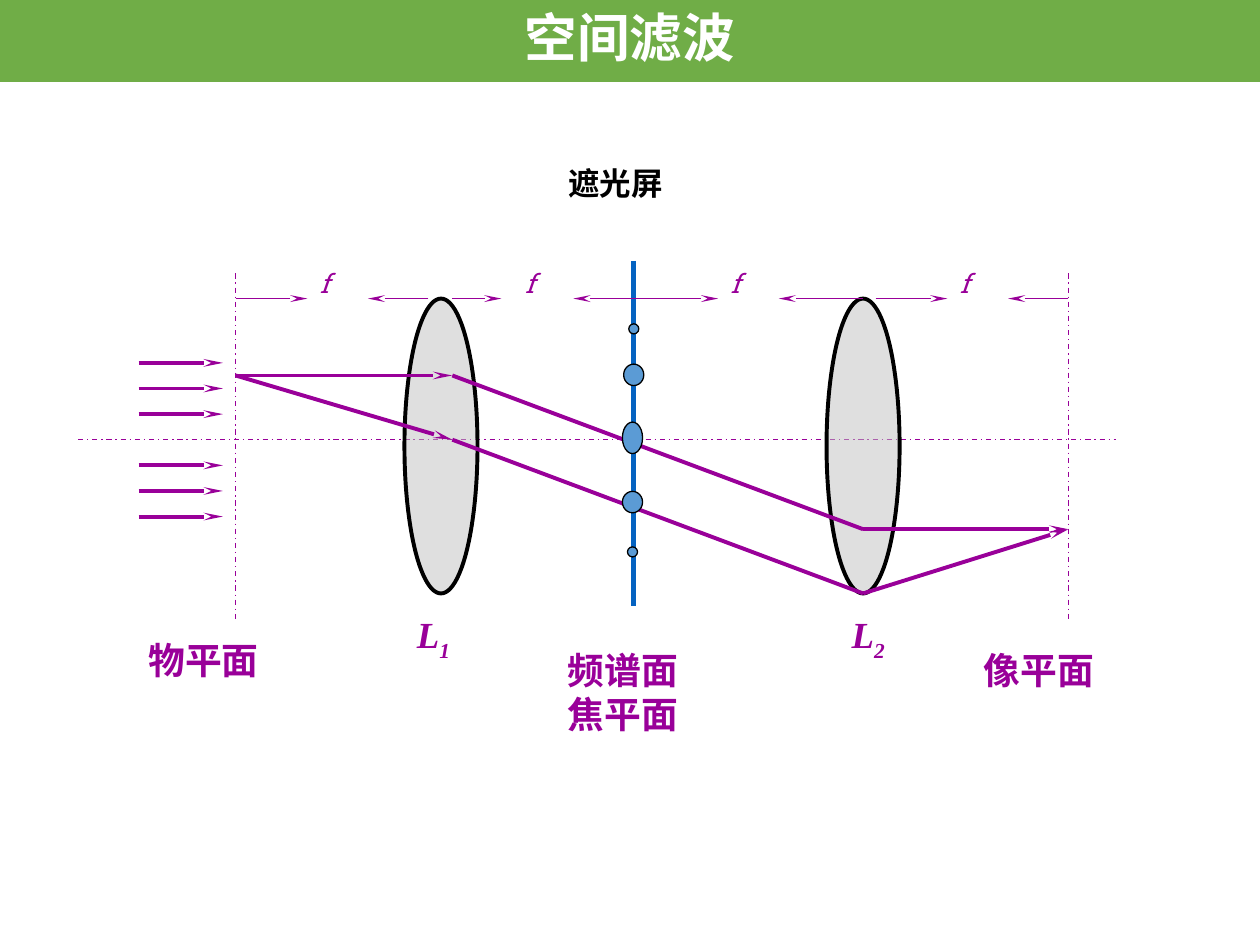
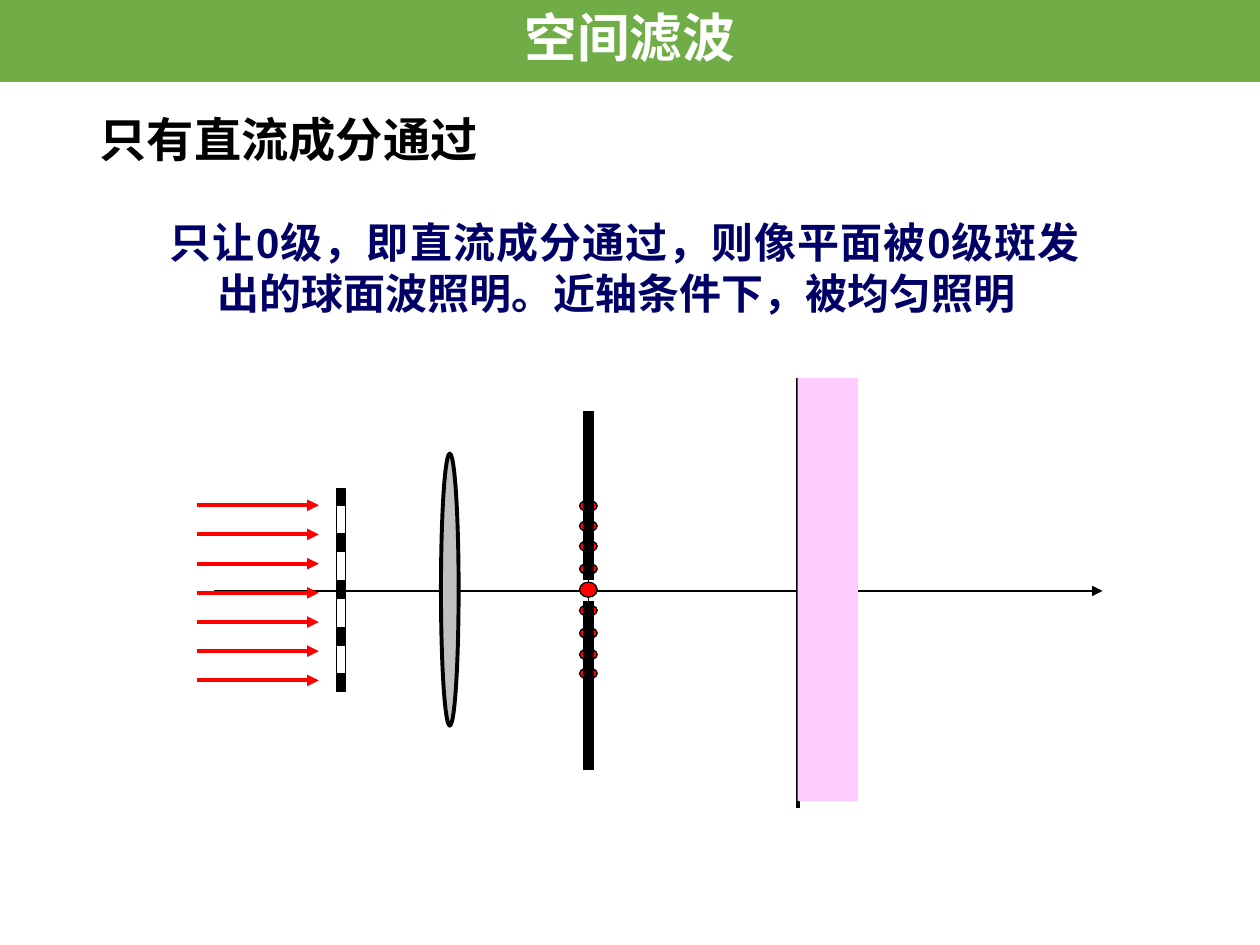
from dataclasses import dataclass

from lxml import etree
from pptx import Presentation
from pptx import util as u
from pptx.dml.color import RGBColor
from pptx.enum import dml, shapes, text
from pptx.oxml import ns


@dataclass(frozen=True)
class Theme:
    green: str = "70AD47"
    plum: str = "990099"
    navy: str = "000066"
    blue: str = "0563C1"
    sky: str = "5B9BD5"
    red: str = "FF0000"
    pink: str = "FFCCFF"
    gray: str = "C0C0C0"
    black: str = "000000"
    white: str = "FFFFFF"
    head: str = "Calibri"
    label: str = "Roboto Slab"
    math: str = "Times New Roman"
    body: str = "Arial"
    sans: str = "DejaVu Sans"
    banner: int = 30
    title: int = 27
    prose: int = 24
    name: int = 21
    note: int = 18
    mark: int = 15
    thin: float = 0.75
    bold: float = 2.25
    thick: float = 3
    wide: float = 6


def tint(name):
    return RGBColor.from_string(name)


def steps(first, last, count):
    return [first + (last - first) * i / (count - 1) for i in range(count)]


class Deck:
    def __init__(self, theme):
        self.theme = theme
        self.file = Presentation()
        self.file.slide_width = u.Inches(10)
        self.file.slide_height = u.Inches(7.5)
        self.slide = None

    def page(self, layout):
        self.slide = self.file.slides.add_slide(self.file.slide_layouts[layout])

    def run(self, para, words, font, size, color, bold=True, italic=False, base=None):
        run = para.add_run()
        run.text = words
        run.font.name = font
        run.font.size = u.Pt(size)
        run.font.bold = bold
        run.font.italic = italic
        run.font.color.rgb = tint(color)
        if base:
            run.font._element.set("baseline", str(base))

    def line(self, start, end, color, width, dash=None, head=None, slim=False):
        item = self.slide.shapes.add_connector(
            shapes.MSO_CONNECTOR.STRAIGHT, *map(u.Inches, start + end))
        item.line.color.rgb = tint(color)
        item.line.width = u.Pt(width)
        if dash:
            item.line.dash_style = dash
        props = item.element.spPr
        if head:
            tail = etree.SubElement(props.find(ns.qn("a:ln")), ns.qn("a:tailEnd"))
            tail.set("type", head)
            if slim:
                tail.set("w", "sm")
                tail.set("len", "lg")
        etree.SubElement(props, ns.qn("a:effectLst"))

    def shape(self, kind, box, fill, width=None, alpha=None):
        item = self.slide.shapes.add_shape(kind, *map(u.Inches, box))
        item.shadow.inherit = False
        item.fill.solid()
        item.fill.fore_color.rgb = tint(fill)
        if alpha:
            color = item.element.spPr.find(".//" + ns.qn("a:srgbClr"))
            etree.SubElement(color, ns.qn("a:alpha")).set("val", str(alpha * 1000))
        if width:
            item.line.color.rgb = tint(self.theme.black)
            item.line.width = u.Pt(width)
        else:
            item.line.fill.background()
        return item

    def rect(self, box, fill, width=None):
        return self.shape(shapes.MSO_SHAPE.RECTANGLE, box, fill, width)

    def oval(self, box, fill, width, alpha=None):
        return self.shape(shapes.MSO_SHAPE.OVAL, box, fill, width, alpha)

    def frame(self, box, wrap=False):
        frame = self.slide.shapes.add_textbox(*map(u.Inches, box)).text_frame
        frame.word_wrap = wrap
        frame.auto_size = text.MSO_AUTO_SIZE.SHAPE_TO_FIT_TEXT
        return frame

    def label(self, box, rows, font, size, color, bold=True, italic=False):
        frame = self.frame(box)
        for i, words in enumerate(rows):
            para = frame.add_paragraph() if i else frame.paragraphs[0]
            self.run(para, words, font, size, color, bold, italic)

    def lens(self, x, index):
        t = self.theme
        para = self.frame((x, 4.81, 0.62, 0.6)).paragraphs[0]
        self.run(para, "L", t.math, t.name, t.plum, italic=True)
        self.run(para, index, t.math, t.name, t.plum, italic=True, base=-25000)

    def prose(self, box, parts):
        t = self.theme
        para = self.frame(box, wrap=True).paragraphs[0]
        para.alignment = text.PP_ALIGN.JUSTIFY
        props = para._p.get_or_add_pPr()
        props.set("marL", str(u.Inches(0.38)))
        props.set("indent", str(u.Inches(-0.38)))
        for words, font in parts:
            self.run(para, words, font, t.prose, t.navy)

    def title(self, words):
        t = self.theme
        item = self.slide.shapes.title
        item.left, item.top, item.width, item.height = map(
            u.Inches, (0.69, 0.4, 8.62, 1.45))
        frame = item.text_frame
        frame.auto_size = text.MSO_AUTO_SIZE.NONE
        frame.vertical_anchor = text.MSO_ANCHOR.MIDDLE
        para = frame.paragraphs[0]
        para.alignment = text.PP_ALIGN.LEFT
        para.line_spacing = 0.9
        self.run(para, words, t.head, t.title, t.black)

    def banner(self, words):
        t = self.theme
        frame = self.rect((0, 0, 10, 0.65), t.green).text_frame
        frame.margin_left = frame.margin_right = u.Inches(0.07)
        frame.margin_top = frame.margin_bottom = u.Inches(0.04)
        frame.vertical_anchor = text.MSO_ANCHOR.MIDDLE
        para = frame.paragraphs[0]
        para.alignment = text.PP_ALIGN.CENTER
        para.line_spacing = 0.9
        self.run(para, words, t.head, t.banner, t.white)


def filter_page(deck):
    t = deck.theme
    deck.page(6)
    axis = dml.MSO_LINE.DASH_DOT
    deck.line((1.87, 2.17), (1.87, 4.92), t.plum, t.thin, axis)
    deck.line((0.62, 3.49), (8.86, 3.49), t.plum, t.thin, axis)
    deck.line((5.03, 2.07), (5.03, 4.81), t.blue, t.thick)
    deck.line((8.48, 2.17), (8.48, 4.92), t.plum, t.thin, axis)
    for x in (3.21, 6.56):
        deck.oval((x, 2.37, 0.58, 2.34), t.gray, t.bold, alpha=50)

    beams = [
        ((1.87, 2.98), (3.59, 2.98), "stealth"),
        ((3.59, 2.98), (6.85, 4.2), None),
        ((1.87, 2.98), (3.59, 3.49), "stealth"),
        ((3.59, 3.49), (6.85, 4.71), None),
        ((6.85, 4.2), (8.48, 4.2), "stealth"),
        ((6.85, 4.71), (8.48, 4.2), "stealth"),
    ]
    for start, end, head in beams:
        deck.line(start, end, t.plum, t.bold, head=head, slim=True)

    planes = [
        ((1.08, 5.01, 1.66, 0.6), ["物平面"]),
        ((4.41, 5.09, 1.66, 1.07), ["频谱面", "焦平面"]),
        ((7.71, 5.09, 1.66, 0.6), ["像平面"]),
    ]
    for box, rows in planes:
        deck.label(box, rows, t.label, t.name, t.plum)
    deck.lens(3.21, "1")
    deck.lens(6.66, "2")

    for i, y in enumerate(steps(2.88, 4.1, 7)):
        if i != 3:
            deck.line((1.1, y), (1.77, y), t.plum, t.bold, head="stealth", slim=True)

    spans = [
        (1.87, 2.44, 2.92, 3.4),
        (3.59, 3.98, 4.55, 5.13),
        (5.13, 5.7, 6.18, 6.85),
        (6.95, 7.52, 8, 8.48),
    ]
    for left, near, far, right in spans:
        for start, end in ((left, near), (right, far)):
            deck.line((start, 2.37), (end, 2.37), t.plum, t.thin,
                      head="stealth", slim=True)
    for x in (2.44, 4.07, 5.7, 7.52):
        deck.label((x, 2.07, 0.35, 0.47), ["f"], t.label, t.mark, t.plum,
                   bold=False, italic=True)

    spots = [
        (4.94, 3.35, 0.16, 0.25),
        (4.94, 3.9, 0.16, 0.17),
        (4.95, 2.89, 0.16, 0.17),
        (4.98, 4.34, 0.08, 0.08),
        (4.99, 2.57, 0.08, 0.08),
    ]
    for box in spots:
        deck.oval(box, t.sky, t.thin)
    deck.label((4.41, 1.25, 1.32, 0.54), ["遮光屏"], t.head, t.note, t.black)
    deck.banner("空间滤波")


def direct_page(deck):
    t = deck.theme
    deck.page(5)
    deck.title("只有直流成分通过")
    deck.prose((1.25, 1.67, 7.42, 0.91), [
        ("只让0级，即直流成分通过，则像平面被0级斑发出的球面波照明。", t.body),
        ("近轴条件下，被均匀照明", t.sans),
    ])
    deck.line((1.7, 4.69), (8.75, 4.69), t.black, t.thin, head="triangle")
    deck.line((6.33, 3), (6.33, 6.41), t.black, t.bold)

    deck.rect((2.67, 3.88, 0.07, 1.61), t.black, t.thin)
    for y in steps(4.01, 5.12, 4):
        deck.rect((2.67, y, 0.07, 0.23), t.white, t.thin)
    deck.oval((3.5, 3.6, 0.14, 2.16), t.gray, t.bold)

    deck.line((4.67, 3.37), (4.67, 6.09), t.black, t.thin, dml.MSO_LINE.DASH)
    deck.oval((4.6, 4.62, 0.14, 0.12), t.red, t.thin)
    for y in (3.97, 4.13, 4.29, 4.47, 4.8, 4.98, 5.15, 5.3):
        deck.oval((4.6, y, 0.14, 0.09), t.red, t.thin)
    for top in (3.26, 4.77):
        deck.line((4.67, top), (4.67, top + 1.34), t.black, t.wide)

    for y in steps(4.01, 5.4, 7):
        deck.line((1.56, y), (2.53, y), t.red, t.bold, head="triangle")
    deck.rect((6.33, 3, 0.48, 3.36), t.pink)
    deck.banner("空间滤波")


def main():
    deck = Deck(Theme())
    filter_page(deck)
    direct_page(deck)
    deck.file.save("out.pptx")


if __name__ == "__main__":
    main()
